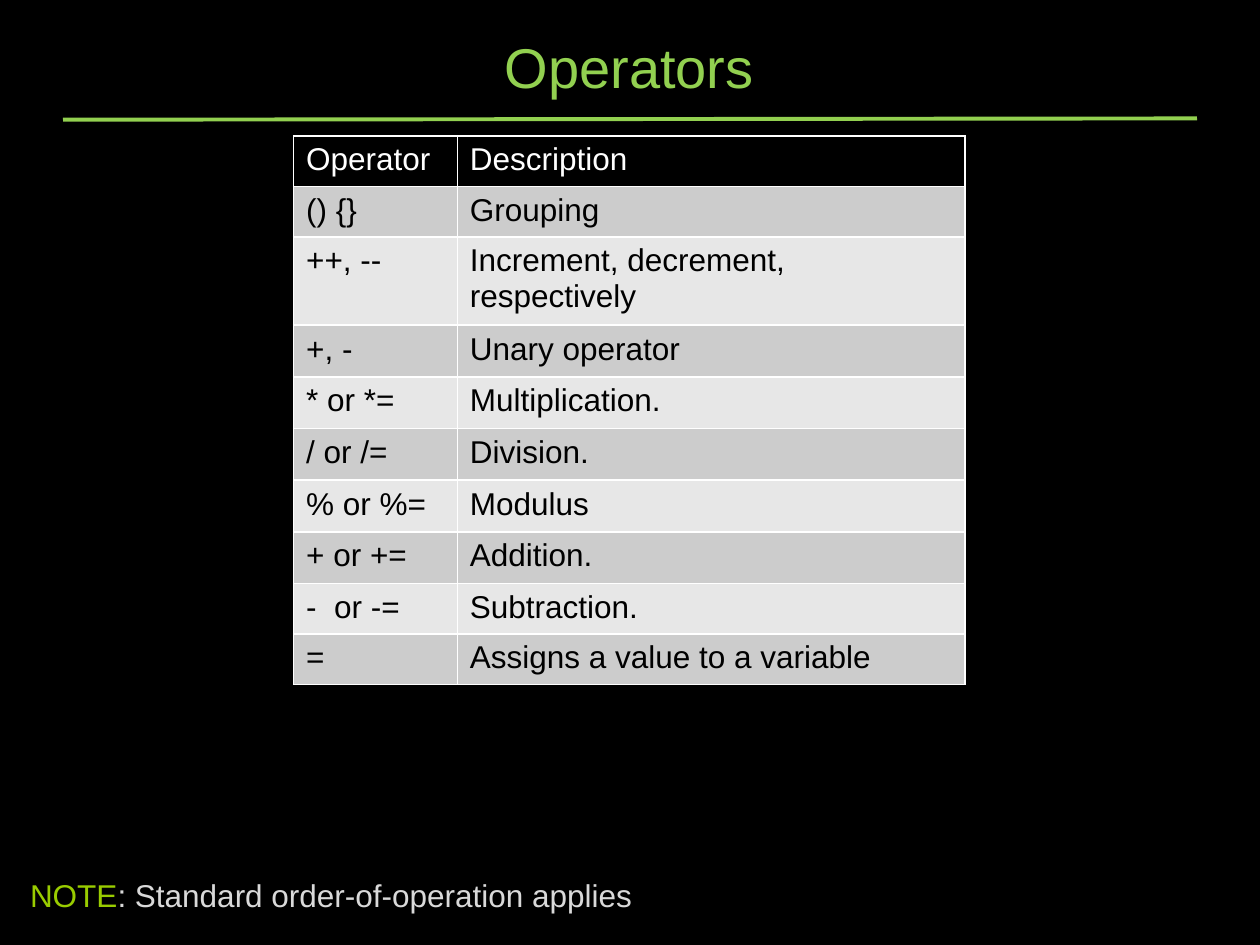
from dataclasses import dataclass

from lxml.etree import SubElement
from pptx import Presentation
from pptx.dml.color import RGBColor as RGB
from pptx.enum.shapes import MSO_CONNECTOR as Link
from pptx.enum.text import MSO_ANCHOR as Anchor, PP_ALIGN as Align
from pptx.oxml.ns import qn
from pptx.util import Inches, Pt


@dataclass(frozen=True)
class Theme:
    font: str = "Arial"
    large: int = 32
    base: int = 18
    back: str = "000000"
    rule: str = "92D050"
    mark: str = "99CC00"
    soft: str = "D9D9D9"
    light: str = "FFFFFF"
    dark: str = "000000"
    bands: tuple = ("E7E7E7", "CCCCCC")


class Deck:
    COLS, ROWS = 100, 75

    def __init__(self, theme):
        self.theme = theme
        self.show = Presentation()
        self.show.slide_width, self.show.slide_height = Inches(10), Inches(7.5)
        self.slide = self.show.slides.add_slide(self.show.slide_layouts[6])
        self.paint(self.slide.background.fill, theme.back)

    def paint(self, fill, color):
        fill.solid()
        fill.fore_color.rgb = RGB.from_string(color)

    def across(self, cols):
        return round(self.show.slide_width * cols / self.COLS)

    def down(self, rows):
        return round(self.show.slide_height * rows / self.ROWS)

    def place(self, x, y, w, h):
        return self.across(x), self.down(y), self.across(w), self.down(h)

    def words(self, para, runs, size):
        for text, color in runs:
            run = para.add_run()
            run.text = text
            style = {"name": self.theme.font, "size": Pt(size), "bold": False}
            for key, value in style.items():
                setattr(run.font, key, value)
            run.font.color.rgb = RGB.from_string(color)

    def text(self, spot, runs, size, align=Align.LEFT, **frame):
        box = self.slide.shapes.add_textbox(*self.place(*spot)).text_frame
        for key, value in {"word_wrap": True, **frame}.items():
            setattr(box, key, value)
        para = box.paragraphs[0]
        para.alignment = align
        self.words(para, runs, size)

    def line(self, start, end, color, width):
        ends = [f(v) for x, y in (start, end)
                for f, v in ((self.across, x), (self.down, y))]
        rule = self.slide.shapes.add_connector(Link.STRAIGHT, *ends)
        rule.line.color.rgb = RGB.from_string(color)
        rule.line.width = Pt(width)
        SubElement(rule.element.spPr, qn("a:effectLst"))

    def edge(self, cell, color, width):
        props = cell._tc.get_or_add_tcPr()
        for side in "LRTB":
            line = SubElement(props, qn(f"a:ln{side}"), w=str(Pt(width)))
            fill = SubElement(line, qn("a:solidFill"))
            SubElement(fill, qn("a:srgbClr"), val=color)

    def table(self, spot, data, widths, heights):
        look = self.theme
        grid = self.slide.shapes.add_table(
            len(data), len(widths), *self.place(*spot)).table
        for key in ("first_row", "horz_banding"):
            setattr(grid, key, False)
        for col, width in zip(grid.columns, widths):
            col.width = self.across(width)
        for r, (row, height) in enumerate(zip(data, heights)):
            grid.rows[r].height = self.down(height)
            ink = look.dark if r else look.light
            tint = look.bands[r % 2] if r else look.back
            for c, text in enumerate(row):
                cell = grid.cell(r, c)
                self.edge(cell, look.light, 1)
                self.paint(cell.fill, tint)
                self.words(cell.text_frame.paragraphs[0],
                           [(text, ink)], look.base)

    def save(self):
        self.show.save("out.pptx")


OPS = [
    ("Operator", "Description"),
    ("() {}", "Grouping"),
    ("++, --", "Increment, decrement, respectively"),
    ("+, -", "Unary operator"),
    ("* or *=", "Multiplication."),
    ("/ or /=", "Division."),
    ("% or %=", "Modulus"),
    ("+ or +=", "Addition."),
    ("-  or -=", "Subtraction."),
    ("=", "Assigns a value to a variable"),
]


def main():
    look = Theme()
    deck = Deck(look)
    deck.line((5, 9.5), (95, 9.4), look.rule, 2.25)
    deck.text((5.1, 2.6, 89.7, 5.5), [("Operators", look.rule)], look.large,
              Align.CENTER, vertical_anchor=Anchor.BOTTOM,
              margin_bottom=Inches(0.02))
    deck.text((1.4, 68.7, 95, 4),
              [("NOTE", look.mark),
               (": Standard order-of-operation applies", look.soft)],
              look.base, margin_top=Inches(0.08))
    heights = [2.5] * 2 + [4.1] * 6 + [2.5] * 2
    deck.table((23.3, 10.8, 53.3, sum(heights)), OPS, (13, 40.3), heights)
    deck.save()


if __name__ == "__main__":
    main()
